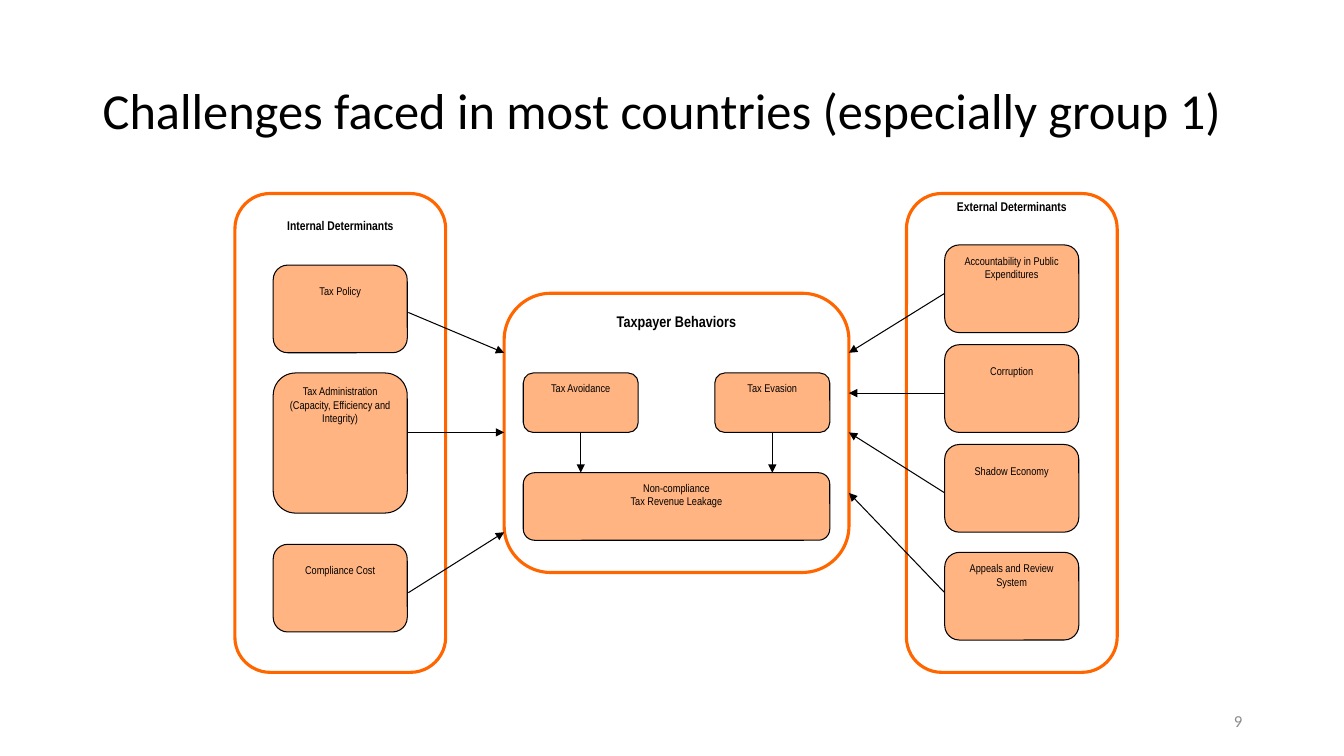
from lxml import etree
from pptx import Presentation
from pptx.dml.color import RGBColor
from pptx.enum import shapes, text
from pptx.oxml import ns
from pptx.util import Inches, Pt

BLACK, ORANGE, GREY = "000000", "FF6600", "8C8C8C"
NARROW = "Arial Narrow"


def paint(fill, tone):
    """Make a fill solid in the given hex colour."""
    fill.solid()
    fill.fore_color.rgb = RGBColor.from_string(tone)


def write(shape, words, size, font=NARROW, tone=BLACK, bold=False,
          side="CENTER", anchor="TOP", space=1.0):
    """Put text in a shape, one paragraph per line of words."""
    frame = shape.text_frame
    frame.word_wrap = True
    frame.vertical_anchor = getattr(text.MSO_ANCHOR, anchor)
    for i, line in enumerate(words.split("\n")):
        para = frame.add_paragraph() if i else frame.paragraphs[0]
        para.alignment = getattr(text.PP_ALIGN, side)
        para.line_spacing = space
        run = para.add_run()
        run.text = line
        run.font.name, run.font.size, run.font.bold = font, Pt(size), bold
        paint(run.font.fill, tone)


deck = Presentation()
deck.slide_width, deck.slide_height = Inches(13.33), Inches(7.5)
slide = deck.slides.add_slide(deck.slide_layouts[6])
parts = slide.shapes

# Title and page number
title = parts.add_textbox(*map(Inches, (0.92, 0.4, 11.5, 1.45)))
write(title, "Challenges faced in most countries (especially group 1)", 36,
      "Calibri", side="LEFT", anchor="MIDDLE", space=0.9)
page = parts.add_textbox(*map(Inches, (9.42, 6.95, 3, 0.4)))
write(page, "9", 12, "Calibri", GREY, side="RIGHT", anchor="MIDDLE")

# Outlined panels
panels = [
    (2.33, 1.92, 2.09, 4.75, ""),
    (5, 2.91, 3.42, 2.77, "Taxpayer Behaviors"),
    (8.99, 1.92, 2.09, 4.75, ""),
]
for *place, words in panels:
    panel = parts.add_shape(shapes.MSO_SHAPE.ROUNDED_RECTANGLE,
                            *map(Inches, place))
    panel.shadow.inherit = False
    panel.adjustments[0] = 0.167
    panel.fill.background()
    paint(panel.line.fill, ORANGE)
    panel.line.width = Pt(2.25)
    if words:
        write(panel, words, 11, bold=True)

# Filled boxes: left, top, width, height, top inset, words
LEFT, RIGHT, WIDE, TALL = 2.71, 9.37, 1.33, 0.87
boxes = [
    (LEFT, 2.63, WIDE, TALL, 0.15, "Tax Policy"),
    (LEFT, 3.7, WIDE, 1.39, 0.05,
     "Tax Administration (Capacity, Efficiency and Integrity)"),
    (LEFT, 5.4, WIDE, TALL, 0.15, "Compliance Cost"),
    (5.19, 3.7, 1.14, 0.59, 0.05, "Tax Avoidance"),
    (7.09, 3.7, 1.14, 0.59, 0.05, "Tax Evasion"),
    (5.19, 4.69, 3.04, 0.67, 0.05, "Non-compliance\nTax Revenue Leakage"),
    (RIGHT, 2.43, WIDE, TALL, 0.05, "Accountability in Public Expenditures"),
    (RIGHT, 3.42, WIDE, TALL, 0.15, "Corruption"),
    (RIGHT, 4.41, WIDE, TALL, 0.15, "Shadow Economy"),
    (RIGHT, 5.48, WIDE, TALL, 0.05, "Appeals and Review System"),
]
for *place, inset, words in boxes:
    box = parts.add_shape(shapes.MSO_SHAPE.ROUNDED_RECTANGLE,
                          *map(Inches, place))
    box.shadow.inherit = False
    box.adjustments[0] = 0.167
    paint(box.fill, ORANGE)
    tint = box.fill._xPr.find(".//" + ns.qn("a:srgbClr"))
    etree.SubElement(tint, ns.qn("a:alpha"), val="49000")
    paint(box.line.fill, BLACK)
    box.line.width = Pt(0.75)
    box.text_frame.margin_top = Inches(inset)
    write(box, words, 8)

# Arrows into the middle panel, then down to the leakage box
arrows = [(4.05, a, 5, b) for a, b in
          ((5.88, 5.28), (4.29, 4.29), (3.1, 3.5))]
arrows += [(RIGHT, a, 8.42, b) for a, b in
           ((2.91, 3.5), (3.9, 3.9), (4.89, 4.29), (5.88, 4.89))]
arrows += [(x, 4.29, x, 4.69) for x in (5.76, 7.66)]
for ends in arrows:
    arrow = parts.add_connector(shapes.MSO_CONNECTOR.STRAIGHT,
                                *map(Inches, ends))
    paint(arrow.line.fill, BLACK)
    arrow.line.width = Pt(0.75)
    props = arrow._element.spPr
    etree.SubElement(props.find(ns.qn("a:ln")), ns.qn("a:tailEnd"),
                     type="triangle")
    etree.SubElement(props, ns.qn("a:effectLst"))

# Side panel headings
for x, y, words in ((2.33, 2.11, "Internal Determinants"),
                    (8.99, 1.92, "External Determinants")):
    head = parts.add_textbox(*map(Inches, (x, y, 2.09, 0.4)))
    write(head, words, 9, bold=True)

deck.save("out.pptx")
